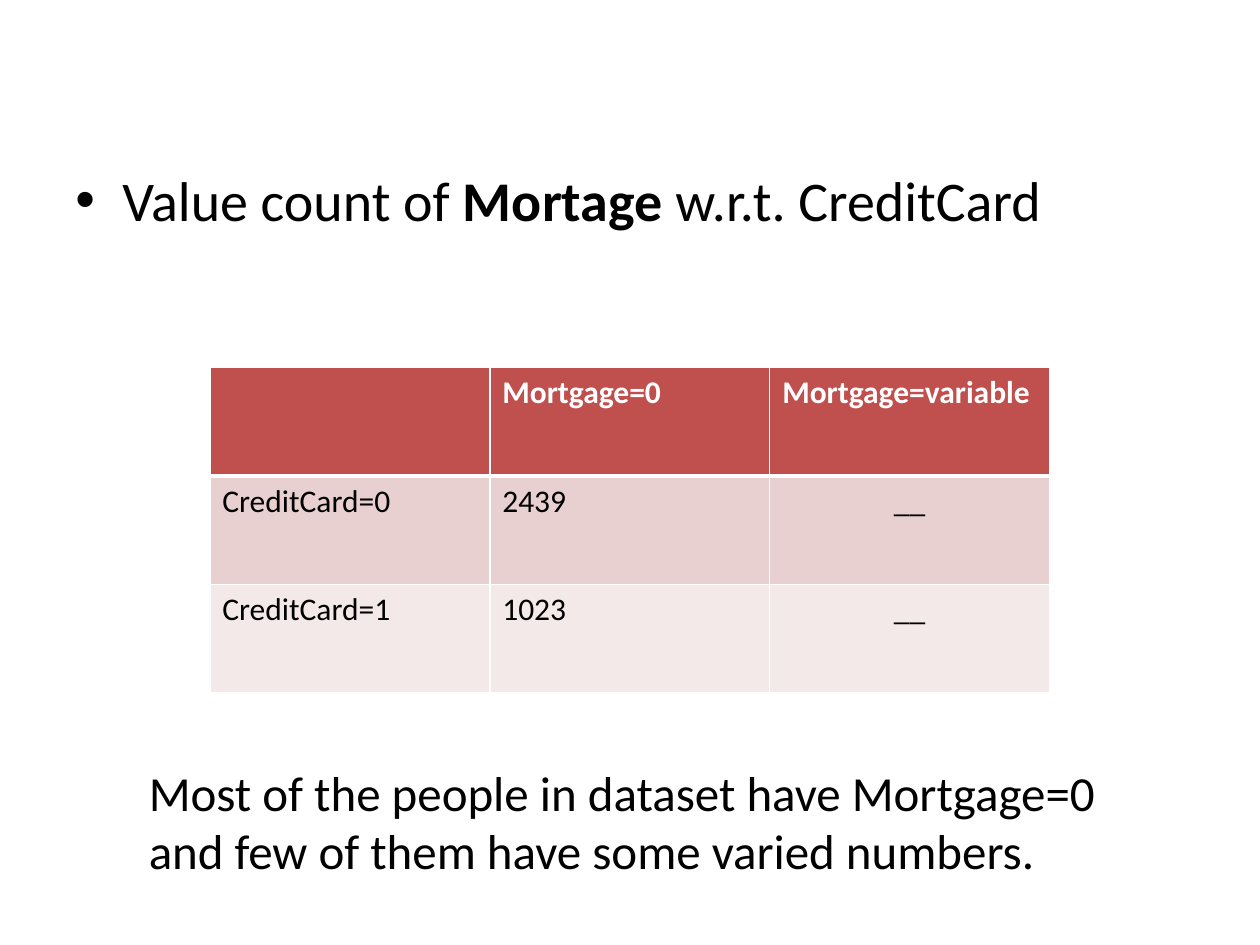
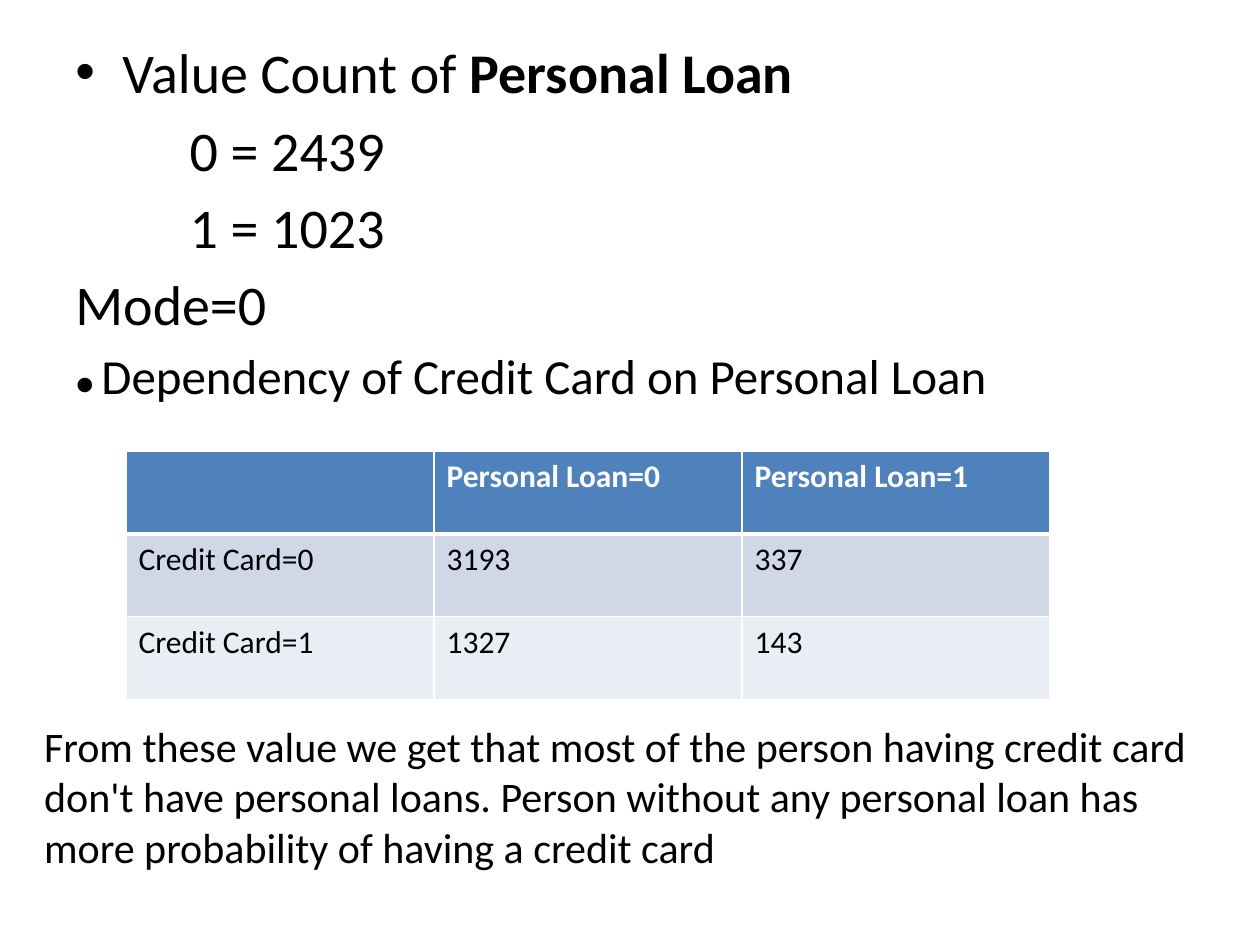
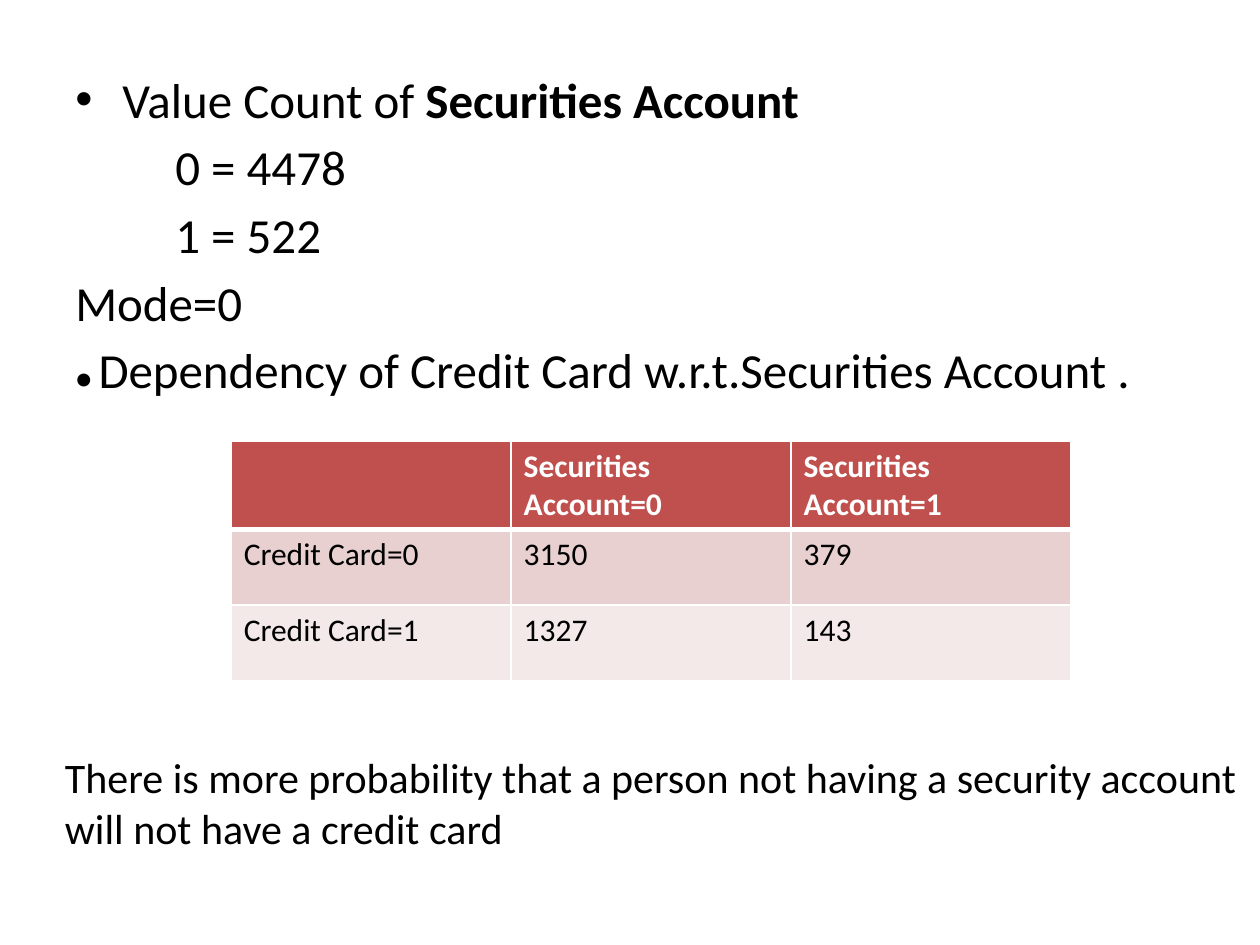
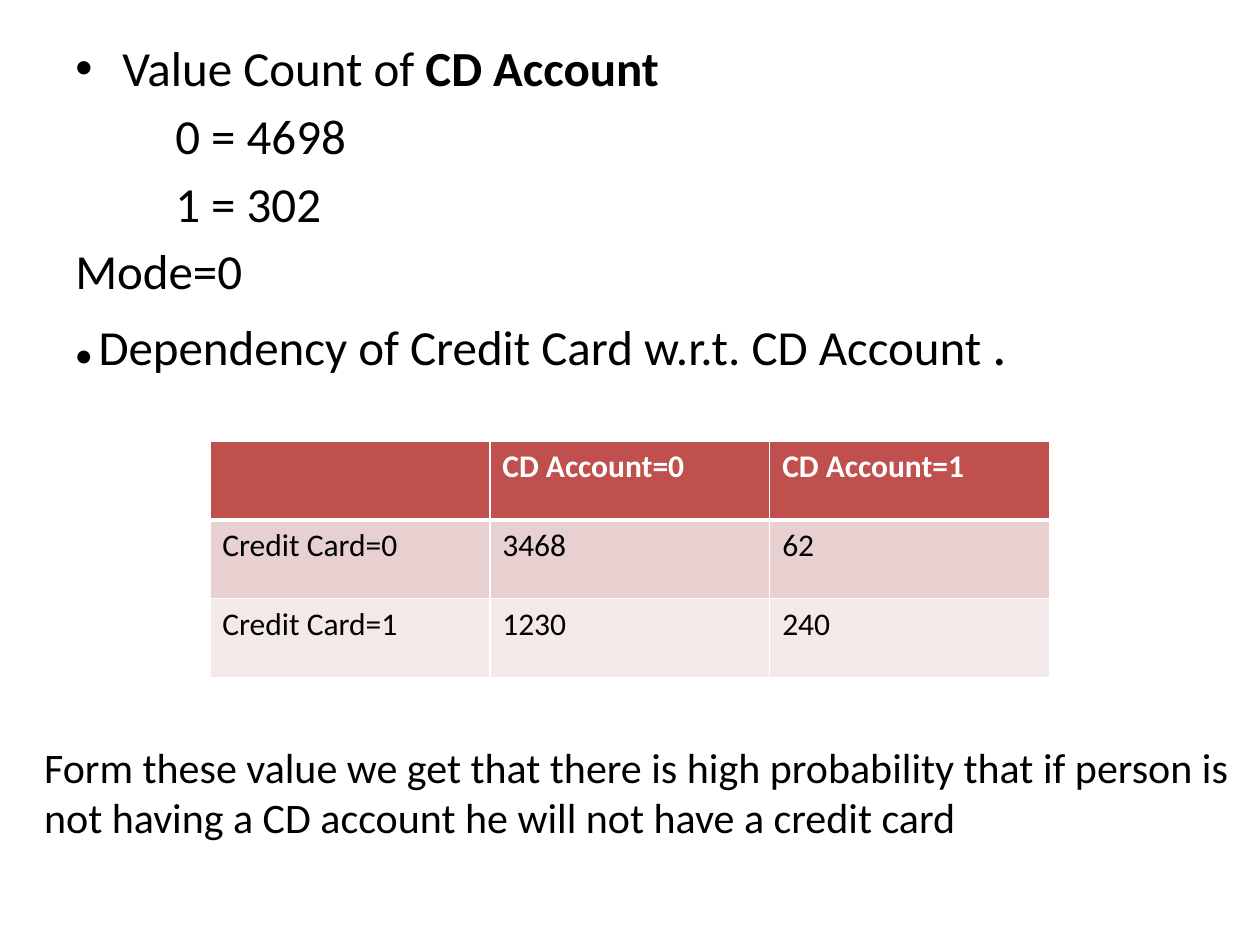
import pptx
import pptx.util
import pptx.dml.color
import pptx.enum.text
import pptx.oxml
import pptx.oxml.ns
import lxml.etree

Cm, Pt = pptx.util.Cm, pptx.util.Pt
FACE = "Calibri"
INK, PAPER = "000000", "FFFFFF"
RED = ("C0504D", "E8D0D0", "F4E9E9")
BLUE = ("4F81BD", "D0D8E8", "E9EDF4")
LEFT, WIDE, BASE, HANG = 1.27, 22.86, 17.02, 0.95


def tint(code):
    """Turn a hex string into a colour."""
    return pptx.dml.color.RGBColor.from_string(code)


def style(para, size, code=INK, bold=None):
    """Set the font of a paragraph."""
    font = para.font
    font.name, font.size, font.bold = FACE, Pt(size), bold
    font.color.rgb = tint(code)


def node(home, tag, **attrs):
    """Append an element in the drawing namespace."""
    return lxml.etree.SubElement(home, pptx.oxml.ns.qn("a:" + tag), **attrs)


def frame(slide, box):
    """Add a wrapping text box and return its text frame."""
    area = slide.shapes.add_textbox(*map(Cm, box)).text_frame
    area.word_wrap = True
    return area


def line(area, runs, size, left=HANG, hang=HANG, dot=False):
    """Write one paragraph from runs of (text, size, bold)."""
    para = area.paragraphs[0]
    if para.runs:
        para = area.add_paragraph()
    style(para, size)
    for text, points, bold in runs:
        run = para.add_run()
        run.text = text
        if points != size:
            run.font.size = Pt(points)
        if bold:
            run.font.bold = True
    para.space_before = Pt(round(0.18 * max(run[1] for run in runs), 2))
    props = para._p.get_or_add_pPr()
    props.set("marL", str(Cm(left)))
    props.set("indent", str(-Cm(hang)))
    if dot:
        node(props, "buFont", typeface="Arial")
        node(props, "buChar", char="\u2022")
    else:
        node(props, "buNone")


def body(slide, top):
    """Add the main text area from top down to the common base."""
    return frame(slide, (LEFT, top, WIDE, BASE - top))


def count(slide, top, size, name, tally, mark, link):
    """Write value counts, the mode and the dependency line."""
    area = body(slide, top)
    line(area, [("Value Count of ", size, False), (name, size, True)], size, dot=True)
    for key, total in enumerate(tally):
        line(area, [(f"{key} = {total}", size, False)], size, 0.072 * size, 0)
    line(area, [("Mode=0", size, False)], size)
    line(area, [("\u25cf ", mark, False)] + [(text, pts, False) for text, pts in link], 28)


def edge(cell, side, width):
    """Draw one white border of a cell."""
    rule = node(cell._tc.get_or_add_tcPr(), "ln" + side, w=str(Pt(width)))
    node(node(rule, "solidFill"), "srgbClr", val=PAPER)


def grid(slide, box, rows, shades):
    """Add a table with a header and one shade for each row."""
    table = slide.shapes.add_table(len(rows), len(rows[0]), *map(Cm, box)).table
    for r, (row, shade) in enumerate(zip(rows, shades)):
        head = r == 0
        table.rows[r].height = Cm(box[3] / len(rows))
        for c, text in enumerate(row):
            cell = table.cell(r, c)
            for side in "LRTB":
                thick = side == "B" and head or side == "T" and r == 1
                edge(cell, side, 3 if thick else 1)
            cell.fill.solid()
            cell.fill.fore_color.rgb = tint(shade)
            cell.text = text
            para = cell.text_frame.paragraphs[0]
            style(para, 18, PAPER if head else INK, head)
            if text == "__":
                para.alignment = pptx.enum.text.PP_ALIGN.CENTER


def cross(slide, box, name, cells, shades):
    """Add the table of credit card against a yes or no field."""
    rows = [["", f"{name}=0", f"{name}=1"]]
    rows += [[f"Credit Card={key}", *pair] for key, pair in enumerate(cells)]
    grid(slide, box, rows, shades)


def note(slide, box, text, size=24):
    """Write the closing remark."""
    area = frame(slide, box)
    area.text = text
    style(area.paragraphs[0], size)


def house(slide):
    """Build the mortgage slide."""
    area = body(slide, 0)
    area.margin_top = Cm(3.33)
    line(area, [("Value count of ", 32, False), ("Mortage ", 32, True),
                ("w.r.t. CreditCard", 32, False)], 32, dot=True)
    grid(slide, (4.23, 7.41, 16.93, 6.56),
         [["", "Mortgage=0", "Mortgage=variable"],
          ["CreditCard=0", "2439", "__"],
          ["CreditCard=1", "1023", "__"]], RED)
    note(slide, (2.75, 15.24, 20.75, 2.64),
         "Most of the people in dataset have Mortgage=0 and few of them "
         "have some varied numbers.", 28)


def loan(slide):
    """Build the personal loan slide."""
    name = "Personal Loan"
    count(slide, 0.64, 32, name, (2439, 1023), 18,
          [("Dependency of Credit Card on Personal Loan", 28)])
    cross(slide, (2.54, 9.1, 18.63, 5), name, [("3193", "337"), ("1327", "143")], BLUE)
    note(slide, (0.64, 14.4, 23.92, 3.33),
         "From these value we get that most of the person having credit card "
         "don't have personal loans. Person without any personal loan has "
         "more probability of having a credit card")


def bonds(slide):
    """Build the securities account slide."""
    name = "Securities Account"
    count(slide, 1.27, 28, name, (4478, 522), 16,
          [("Dependency of Credit Card w.r.t.Securities Account .", 28)])
    cross(slide, (4.66, 8.89, 16.93, 4.58), name, [("3150", "379"), ("1327", "143")], RED)
    note(slide, (1.06, 15.03, 24.34, 2.31),
         "There is more probability that a person not having a security "
         "account will not have a credit card")


def funds(slide):
    """Build the CD account slide."""
    name = "CD Account"
    count(slide, 0.64, 28, name, (4698, 302), 16,
          [("Dependency of Credit Card w.r.t. CD Account ", 28), (".", 32)])
    cross(slide, (4.23, 8.89, 16.93, 4.77), name, [("3468", "62"), ("1230", "240")], RED)
    note(slide, (0.64, 14.82, 24.76, 2.31),
         "Form these value we get that there is high probability that if "
         "person is not having a CD account he will not have a credit card")


def main():
    """Build and save the deck."""
    deck = pptx.Presentation()
    deck.slide_width, deck.slide_height = Cm(25.4), Cm(19.05)
    for build in (house, loan, bonds, funds):
        build(deck.slides.add_slide(deck.slide_layouts[6]))
    deck.save("out.pptx")


main()
